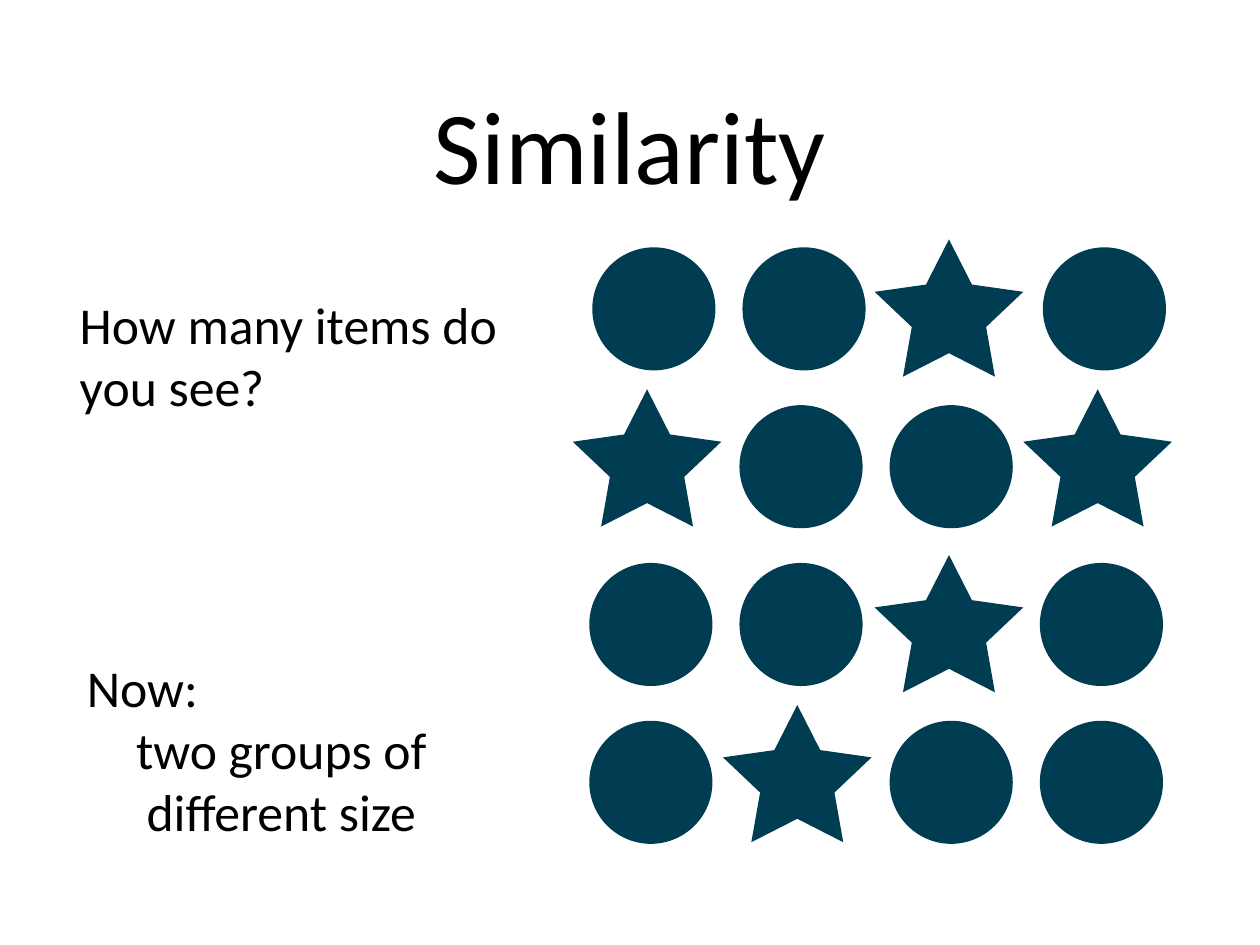
"""Build a slide on the Gestalt principle of similarity with a grid of circles and stars."""
from dataclasses import dataclass

import pptx
import pptx.dml.color
import pptx.enum.shapes
import pptx.enum.text
import pptx.util

Shape = pptx.enum.shapes.MSO_SHAPE
Align = pptx.enum.text.PP_ALIGN
Anchor = pptx.enum.text.MSO_ANCHOR

WIDTH = pptx.util.Inches(14.22)
HEIGHT = pptx.util.Inches(10.66)
COLORS = {"text": "000000", "symbol": "003C52", "background": "FFFFFF"}
FONT = "Calibri"

GRID_LEFT = 0.4677 * WIDTH
GRID_TOP = 0.2617 * HEIGHT
COLUMN = 0.1192 * WIDTH
ROW = 0.167 * HEIGHT


@dataclass(frozen=True)
class Symbol:
    """A preset shape sized in grid columns and rows."""
    kind: Shape
    columns: float
    rows: float


@dataclass(frozen=True)
class SymbolRow:
    """A row of symbols with the shifts of its circles and stars in grid units."""
    pattern: str
    circle_shift: tuple[float, float]
    star_shift: tuple[float, float]


@dataclass(frozen=True)
class Line:
    """A paragraph and its alignment."""
    text: str
    align: Align


@dataclass(frozen=True)
class Caption:
    """A text box placed in percent of the slide's size."""
    left: float
    top: float
    width: float
    height: float
    size: int
    anchor: Anchor
    lines: tuple[Line, ...]


CIRCLE = Symbol(Shape.OVAL, 0.82, 0.78)
STAR = Symbol(Shape.STAR_5_POINT, 0.99, 0.87)

ROWS = (
    SymbolRow("oo*o", (0.02, 0), (-0.1, -0.05)),
    SymbolRow("*oo*", (0, 0), (-0.11, -0.1)),
    SymbolRow("oo*o", (0, 0), (-0.1, -0.05)),
    SymbolRow("o*oo", (0, 0), (-0.11, -0.1)),
)

CAPTIONS = (
    Caption(9.77, 2.63, 80.45, 25.05, 84, Anchor.MIDDLE,
            (Line("Similarity", Align.CENTER),)),
    Caption(6.33, 30.68, 33.47, 13.79, 42, Anchor.MIDDLE,
            (Line("How many items do you see?", Align.LEFT),)),
    Caption(6.89, 69.42, 30.87, 20.08, 42, Anchor.TOP,
            (Line("Now:", Align.LEFT),
             Line("two groups of different size", Align.CENTER))),
)


def color(name: str) -> pptx.dml.color.RGBColor:
    """Look up a named colour."""
    return pptx.dml.color.RGBColor.from_string(COLORS[name])


def draw_caption(page: pptx.slide.Slide, caption: Caption) -> None:
    """Draw a text box with its paragraphs."""
    box = page.shapes.add_textbox(
        int(caption.left / 100 * WIDTH), int(caption.top / 100 * HEIGHT),
        int(caption.width / 100 * WIDTH), int(caption.height / 100 * HEIGHT))
    frame = box.text_frame
    frame.word_wrap = True
    frame.vertical_anchor = caption.anchor
    frame.margin_left = frame.margin_right = 0
    frame.margin_top = frame.margin_bottom = 0
    for index, line in enumerate(caption.lines):
        para = frame.add_paragraph() if index else frame.paragraphs[0]
        para.alignment = line.align
        span = para.add_run()
        span.text = line.text
        span.font.name = FONT
        span.font.size = pptx.util.Pt(caption.size)
        span.font.color.rgb = color("text")


def draw_symbol(page: pptx.slide.Slide, symbol: Symbol, column: float, row: float) -> None:
    """Draw a symbol at a grid position."""
    shape = page.shapes.add_shape(
        symbol.kind, int(GRID_LEFT + column * COLUMN), int(GRID_TOP + row * ROW),
        int(symbol.columns * COLUMN), int(symbol.rows * ROW))
    if symbol is STAR:
        shape.adjustments[0] = 0.25
    shape.shadow.inherit = False
    shape.fill.solid()
    shape.fill.fore_color.rgb = color("symbol")
    shape.line.fill.background()


def main() -> None:
    """Build and save the deck."""
    deck = pptx.Presentation()
    deck.slide_width, deck.slide_height = WIDTH, HEIGHT
    page = deck.slides.add_slide(deck.slide_layouts[6])
    page.background.fill.solid()
    page.background.fill.fore_color.rgb = color("background")
    for caption in CAPTIONS:
        draw_caption(page, caption)
    for row, symbols in enumerate(ROWS):
        for column, mark in enumerate(symbols.pattern):
            symbol, shift = ((STAR, symbols.star_shift) if mark == "*"
                             else (CIRCLE, symbols.circle_shift))
            draw_symbol(page, symbol, column + shift[0], row + shift[1])
    deck.save("out.pptx")


if __name__ == "__main__":
    main()
